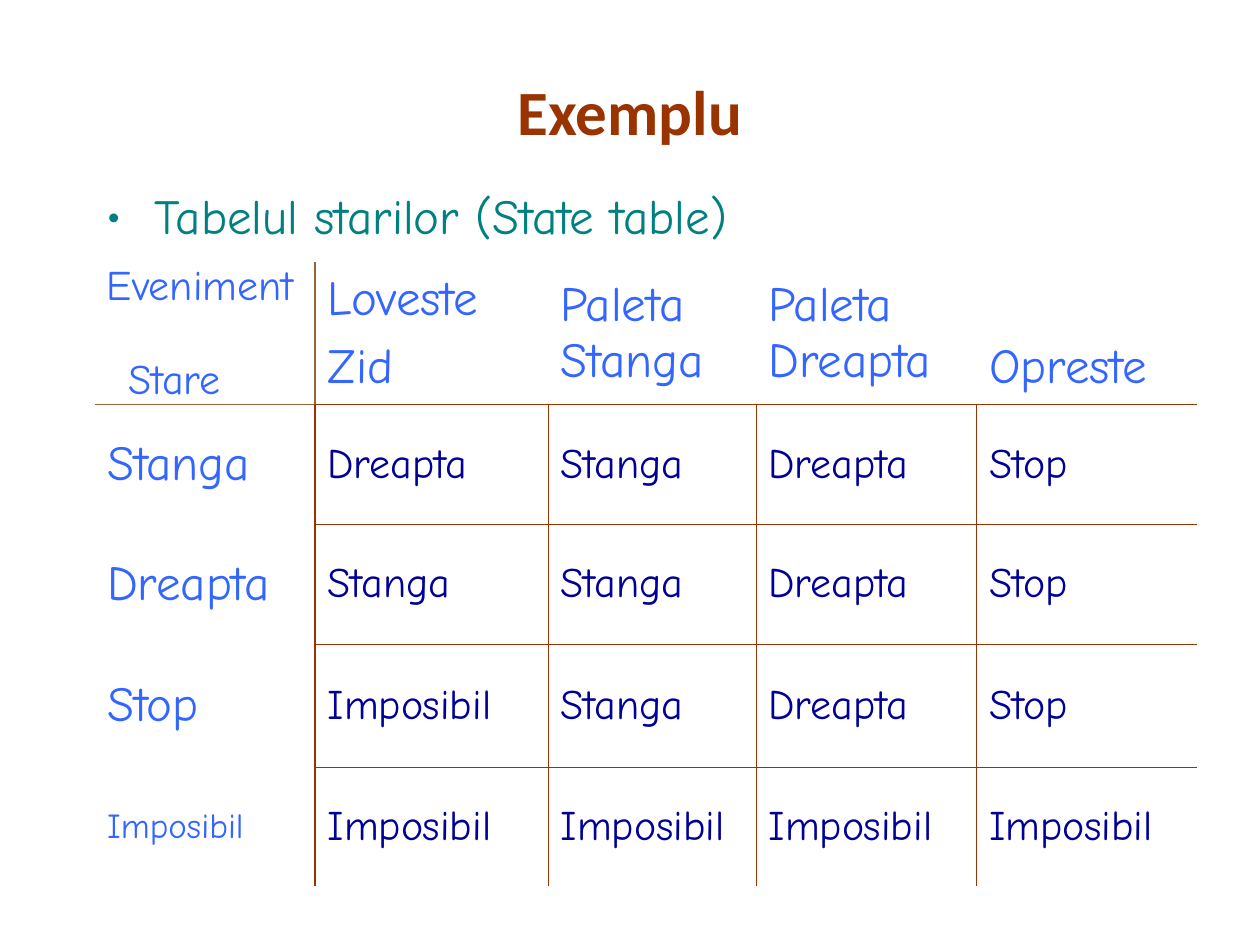
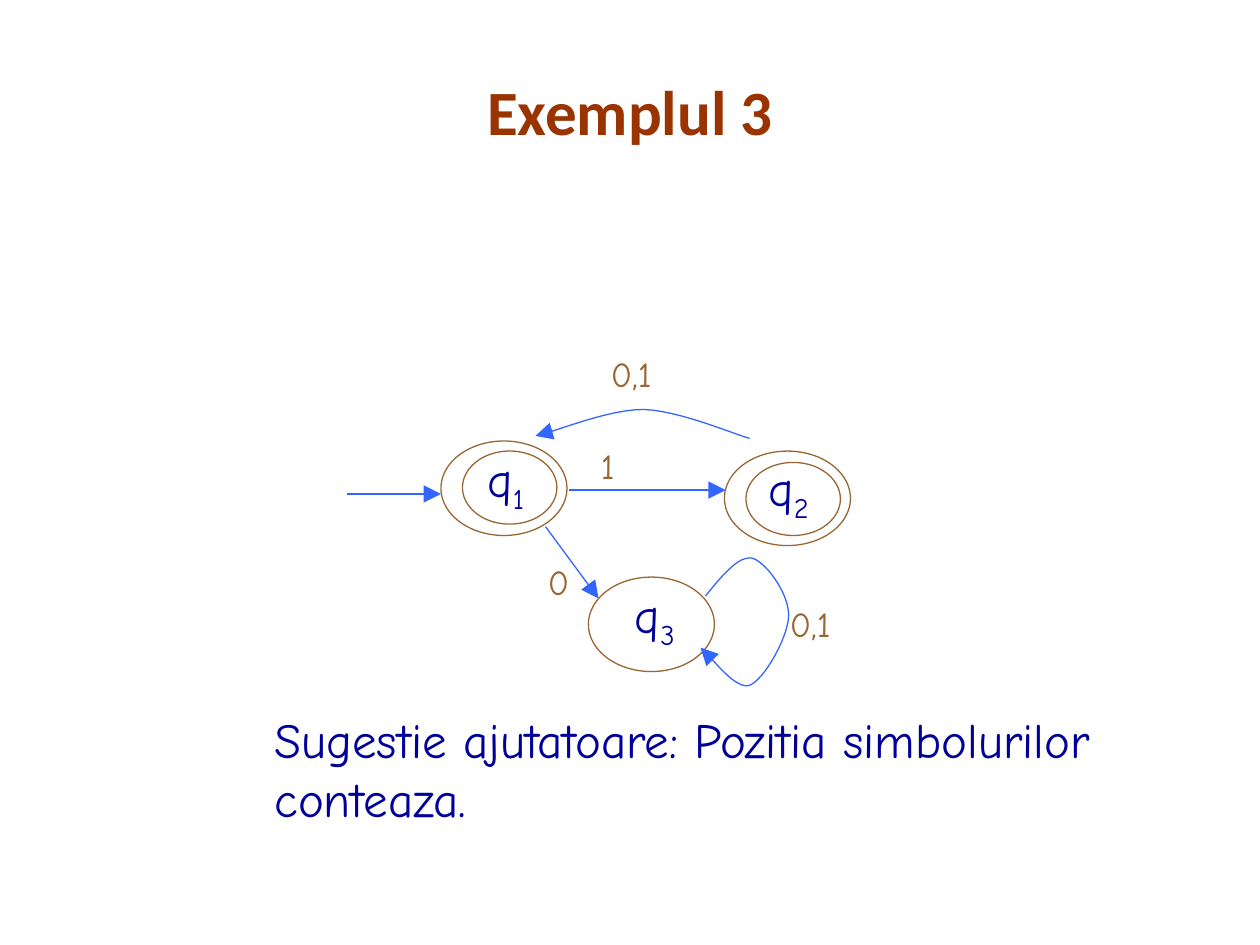
import pptx
import pptx.dml.color
import pptx.enum.shapes
import pptx.enum.text
import pptx.oxml.ns
import pptx.util
from lxml import etree

Inches = pptx.util.Inches
Pt = pptx.util.Pt
qn = pptx.oxml.ns.qn
Anchor = pptx.enum.text.MSO_ANCHOR
Align = pptx.enum.text.PP_ALIGN
OVAL = pptx.enum.shapes.MSO_SHAPE.OVAL
STRAIGHT = pptx.enum.shapes.MSO_CONNECTOR.STRAIGHT

RUST, BROWN, TEAL = "993300", "996633", "008080"
BLUE, NAVY, WHITE = "3366FF", "000099", "FFFFFF"


def paint(fill, color):
    fill.solid()
    fill.fore_color.rgb = pptx.dml.color.RGBColor.from_string(color)


def write(frame, text, size=28, color=NAVY, font="Comic Neue", bold=False,
          align=Align.LEFT, before=0, subscript="", bullet=False):
    """Fill a text frame, one paragraph per line of text."""
    for i, line in enumerate(text.split("\n")):
        paragraph = frame.add_paragraph() if i else frame.paragraphs[0]
        paragraph.alignment = align
        paragraph.space_before = Pt(before)
        for part in filter(None, (line, subscript)):
            run = paragraph.add_run()
            run.text = part
            run.font.name, run.font.size, run.font.bold = font, Pt(size), bold
            paint(run.font.fill, color)
        if subscript:
            run.font._element.set("baseline", "-25000")
        if bullet:
            properties = paragraph._p.get_or_add_pPr()
            properties.set("marL", str(Inches(0.38)))
            properties.set("indent", str(Inches(-0.38)))
            etree.SubElement(properties, qn("a:buFont")).set("typeface", font)
            etree.SubElement(properties, qn("a:buChar")).set("char", "•")


deck = pptx.Presentation()
deck.slide_width, deck.slide_height = Inches(10), Inches(7.5)
slides = []
for heading in ("Exemplu", "Exemplul 3"):
    slide = deck.slides.add_slide(deck.slide_layouts[5])
    title = slide.shapes.title
    title.left, title.top = Inches(0.75), Inches(0.5)
    title.width, title.height = Inches(8.5), Inches(0.75)
    paint(title.fill, WHITE)
    title.text_frame.vertical_anchor = Anchor.MIDDLE
    write(title.text_frame, heading, size=36, color=RUST, font="Calibri",
          bold=True, align=Align.CENTER)
    slides.append(slide)
table_slide, automaton_slide = slides

# State table
subtitle = table_slide.shapes.add_textbox(
    Inches(0.75), Inches(1.42), Inches(5.92), Inches(5.75))
subtitle.text_frame.word_wrap = True
write(subtitle.text_frame, "Tabelul starilor (State table)", color=TEAL,
      before=7, bullet=True)

transitions = [
    ["", "Loveste\nZid", "Paleta Stanga", "Paleta Dreapta", "Opreste"],
    ["Stanga", "Dreapta", "Stanga", "Dreapta", "Stop"],
    ["Dreapta", "Stanga", "Stanga", "Dreapta", "Stop"],
    ["Stop", "Imposibil", "Stanga", "Dreapta", "Stop"],
    ["Imposibil"] * 5,
]
column_widths = [1.75, 1.85, 1.65, 1.75, 1.75]
row_heights = [1.13, 0.95, 0.95, 0.98, 0.94]
state_table = table_slide.shapes.add_table(
    5, 5, Inches(0.75), Inches(2.08), Inches(8.75), Inches(4.95)).table
state_table.first_row = state_table.horz_banding = False
for column, width in zip(state_table.columns, column_widths):
    column.width = Inches(width)
for row, height in zip(state_table.rows, row_heights):
    row.height = Inches(height)

for r, states in enumerate(transitions):
    for c, state in enumerate(states):
        cell = state_table.cell(r, c)
        cell.vertical_anchor = Anchor.MIDDLE
        # Each side: the grid line it lies on and the row or column it crosses
        sides = {"a:lnL": (c, r), "a:lnR": (c + 1, r),
                 "a:lnT": (r, c), "a:lnB": (r + 1, c)}
        for side, (grid_line, crossed) in sides.items():
            border = etree.SubElement(cell._tc.get_or_add_tcPr(), qn(side))
            if grid_line in (0, 5) or (crossed == 0 and grid_line != 1):
                etree.SubElement(border, qn("a:noFill"))
                continue
            border.set("w", str(Pt(1.08 if grid_line == 1 else 0.45)))
            solid = etree.SubElement(border, qn("a:solidFill"))
            etree.SubElement(solid, qn("a:srgbClr")).set(
                "val", RUST if crossed else BROWN)
        cell.fill.background()
        if r and c:
            write(cell.text_frame, state, size=24, before=6)
        else:
            write(cell.text_frame, state, size=20 if r == 4 else 28,
                  color=BLUE, before=7)

stop_header = state_table.cell(0, 4)
stop_header.vertical_anchor = Anchor.BOTTOM
stop_header.margin_bottom = Inches(0.07)

for axis, left, top, width in (("Eveniment", 0.75, 2, 1.83),
                               ("Stare", 0.92, 2.75, 1.33)):
    corner = table_slide.shapes.add_textbox(
        Inches(left), Inches(top), Inches(width), Inches(0.5))
    corner.text_frame.word_wrap = True
    write(corner.text_frame, axis, size=24, color=BLUE, before=15)

# Automaton
shapes = automaton_slide.shapes
for left, top, width, height in ((3.5, 3.5, 1, 0.75), (3.67, 3.58, 0.75, 0.58),
                                 (5.75, 3.58, 1, 0.75), (5.92, 3.67, 0.75, 0.58),
                                 (4.67, 4.58, 1, 0.75)):
    ring = shapes.add_shape(OVAL, Inches(left), Inches(top),
                            Inches(width), Inches(height))
    ring.shadow.inherit = False
    ring.fill.background()
    paint(ring.line.fill, BROWN)
    ring.line.width = Pt(0.75)

# Wide enough to keep each subscript on the line of its letter
for number, left, top in (("1", 3.77, 3.51), ("2", 6, 3.58), ("3", 4.94, 4.59)):
    state_name = shapes.add_textbox(
        Inches(left), Inches(top), Inches(0.6), Inches(0.63))
    state_name.text_frame.word_wrap = True
    write(state_name.text_frame, "q", subscript=number)

arrows = [
    shapes.add_connector(STRAIGHT, *map(Inches, ends))
    for ends in ((2.75, 3.92, 3.5, 3.92), (4.52, 3.89, 5.76, 3.89),
                 (4.33, 4.18, 4.75, 4.75))
]
# Start point, then two control points and an end point per Bezier segment
q2_to_q1 = [(5.95, 3.48), (5.81, 3.44), (5.39, 3.26), (5.11, 3.25),
            (4.82, 3.25), (4.43, 3.42), (4.25, 3.46)]
q3_loop = [(5.6, 4.73), (5.73, 4.57), (5.86, 4.41), (5.97, 4.43),
           (6.08, 4.46), (6.26, 4.71), (6.26, 4.88),
           (6.26, 5.05), (6.07, 5.39), (5.95, 5.44),
           (5.83, 5.48), (5.63, 5.19), (5.56, 5.14)]
STEPS = 12
for curve in (q2_to_q1, q3_loop):
    points = []
    for i in range(0, len(curve) - 1, 3):
        for step in range(1, STEPS + 1):
            t = step / STEPS
            weights = ((1 - t) ** 3, 3 * t * (1 - t) ** 2,
                       3 * t ** 2 * (1 - t), t ** 3)
            points.append([
                Inches(sum(w * p[axis] for w, p in zip(weights, curve[i:i + 4])))
                for axis in (0, 1)])
    outline = shapes.build_freeform(*map(Inches, curve[0]))
    outline.add_line_segments(points, close=False)
    arc = outline.convert_to_shape()
    arc.fill.background()
    arrows.append(arc)

for arrow in arrows:
    paint(arrow.line.fill, BLUE)
    arrow.line.width = Pt(0.75)
    head = etree.SubElement(arrow.line._get_or_add_ln(), qn("a:tailEnd"))
    for attribute, value in (("type", "triangle"), ("w", "lg"), ("len", "lg")):
        head.set(attribute, value)
    etree.SubElement(arrow.element.spPr, qn("a:effectLst"))

for symbols, left, top in (("1", 4.67, 3.48), ("0,1", 4.75, 2.75),
                           ("0", 4.25, 4.4), ("0,1", 6.17, 4.73)):
    label = shapes.add_textbox(
        Inches(left), Inches(top), Inches(0.83), Inches(0.44))
    label.text_frame.word_wrap = True
    write(label.text_frame, symbols, size=20, color=BROWN, before=12.5)

hint = shapes.add_textbox(Inches(2.08), Inches(5.58), Inches(6.92), Inches(1.04))
hint.text_frame.word_wrap = True
write(hint.text_frame, "Sugestie ajutatoare: Pozitia simbolurilor conteaza.",
      before=17.5)

deck.save("out.pptx")
